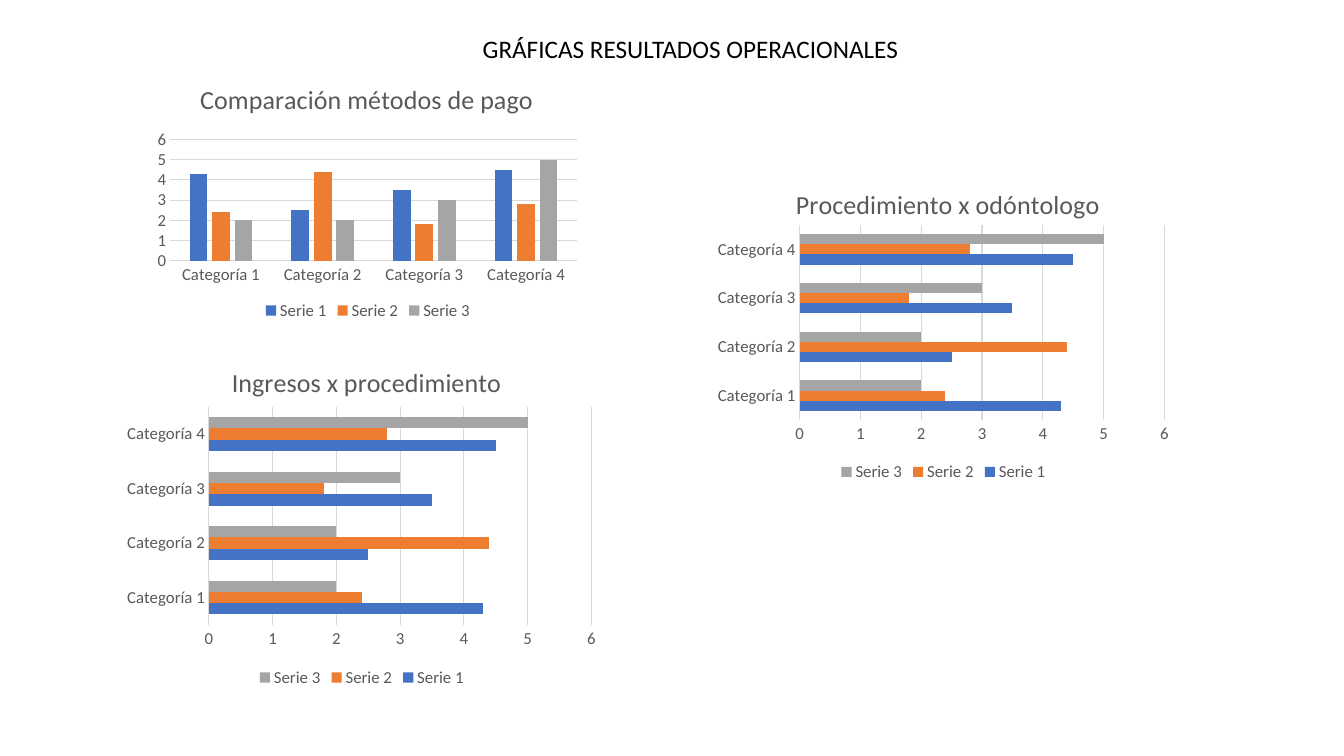
from lxml import etree
from pptx import Presentation
from pptx.chart.data import CategoryChartData
from pptx.dml.color import RGBColor
from pptx.enum.chart import XL_CHART_TYPE, XL_LEGEND_POSITION, XL_TICK_MARK
from pptx.enum.text import MSO_ANCHOR, PP_ALIGN
from pptx.oxml.ns import qn
from pptx.util import Pt

COLUMN = XL_CHART_TYPE.COLUMN_CLUSTERED
BAR = XL_CHART_TYPE.BAR_CLUSTERED
BOTTOM = XL_LEGEND_POSITION.BOTTOM
NO_TICK = XL_TICK_MARK.NONE
CENTER = PP_ALIGN.CENTER
MIDDLE = MSO_ANCHOR.MIDDLE

COLORS = {
    "heading": "000000",
    "label": "595959",
    "grid": "D9D9D9",
    "Serie 1": "4472C4",
    "Serie 2": "ED7D31",
    "Serie 3": "A5A5A5",
}
FONT = "Calibri"
CATEGORIES = [f"Categoría {number}" for number in range(1, 5)]
SERIES = {
    "Serie 1": (4.3, 2.5, 3.5, 4.5),
    "Serie 2": (2.4, 4.4, 1.8, 2.8),
    "Serie 3": (2, 2, 3, 5),
}
BAR_STYLE = {"kind": BAR, "gap": 182, "overlap": 0}
CHARTS = [
    {"title": "Comparación métodos de pago", "box": (106.56, 46.8, 312.48, 185.04),
     "title_at": (33, 8), "plot_box": (15, 53, 290.6, 86.4),
     "kind": COLUMN, "gap": 219, "overlap": -27},
    {"title": "Ingresos x procedimiento", "box": (84.24, 242.64, 348.48, 251.28),
     "title_at": (78, 14), "plot_box": (65, 48, 273.2, 155.7), **BAR_STYLE},
    {"title": "Procedimiento x odóntologo", "box": (506.16, 117.36, 335.52, 229.68),
     "title_at": (59, 12), "plot_box": (65, 43.4, 260.7, 139.3), **BAR_STYLE},
]


def apply_format(target, values):
    for name, value in values.items():
        setattr(target, name, value)


def color(name):
    return RGBColor.from_string(COLORS[name])


def style_font(font, size, color_name):
    apply_format(font, {"name": FONT, "size": Pt(size), "bold": False})
    font.color.rgb = color(color_name)


def style_line(line):
    line.width = Pt(0.75)
    line.color.rgb = color("grid")


def set_layout(parent, index, box, position, inner=False):
    for old_layout in parent.findall(qn("c:layout")):
        parent.remove(old_layout)
    layout = etree.Element(qn("c:layout"))
    manual = etree.SubElement(layout, qn("c:manualLayout"))
    settings = {"layoutTarget": "inner"} if inner else {}
    settings.update({"xMode": "edge", "yMode": "edge"})
    sizes = (box[2], box[3]) * 2
    for name, length, whole in zip("xywh", position, sizes):
        settings[name] = f"{length / whole:.4f}"
    for name, value in settings.items():
        etree.SubElement(manual, qn(f"c:{name}")).set("val", value)
    parent.insert(index, layout)


def add_result_chart(slide, title, box, title_at, plot_box, kind, gap, overlap):
    data = CategoryChartData()
    data.categories = CATEGORIES
    for name, values in SERIES.items():
        data.add_series(name, values)
    chart = slide.shapes.add_chart(kind, *map(Pt, box), data).chart
    style_font(chart.font, 12, "label")

    chart.has_title = True
    paragraph = chart.chart_title.text_frame.paragraphs[0]
    run = paragraph.add_run()
    run.text = title
    style_font(run.font, 18.6, "label")
    chart.chart_title.include_in_layout = False
    set_layout(chart.chart_title.element, 1, box, title_at)
    plot_area = chart.element.find(".//" + qn("c:plotArea"))
    set_layout(plot_area, 0, box, plot_box, inner=True)

    chart.has_legend = True
    apply_format(chart.legend, {"position": BOTTOM, "include_in_layout": False})
    style_font(chart.legend.font, 12, "label")

    for axis in (chart.category_axis, chart.value_axis):
        apply_format(axis, {"major_tick_mark": NO_TICK, "minor_tick_mark": NO_TICK})
        style_font(axis.tick_labels.font, 12, "label")
    style_line(chart.category_axis.format.line)
    apply_format(chart.value_axis, {
        "minimum_scale": 0, "maximum_scale": 6, "major_unit": 1,
        "has_major_gridlines": True})
    chart.value_axis.format.line.fill.background()
    style_line(chart.value_axis.major_gridlines.format.line)

    plot = chart.plots[0]
    apply_format(plot, {"gap_width": gap, "overlap": overlap, "vary_by_categories": False})
    for series in plot.series:
        series.format.fill.solid()
        series.format.fill.fore_color.rgb = color(series.name)


def add_heading(slide, box, text):
    text_frame = slide.shapes.add_textbox(*map(Pt, box)).text_frame
    apply_format(text_frame, {"word_wrap": False, "vertical_anchor": MIDDLE})
    paragraph = text_frame.paragraphs[0]
    paragraph.alignment = CENTER
    run = paragraph.add_run()
    run.text = text
    style_font(run.font, 18, "heading")


presentation = Presentation()
apply_format(presentation, {"slide_width": Pt(960), "slide_height": Pt(540)})
slide = presentation.slides.add_slide(presentation.slide_layouts[6])
for chart_format in CHARTS:
    add_result_chart(slide, **chart_format)
add_heading(slide, (336.24, 20.16, 313.92, 28.8), "GRÁFICAS RESULTADOS OPERACIONALES")
presentation.save("out.pptx")
